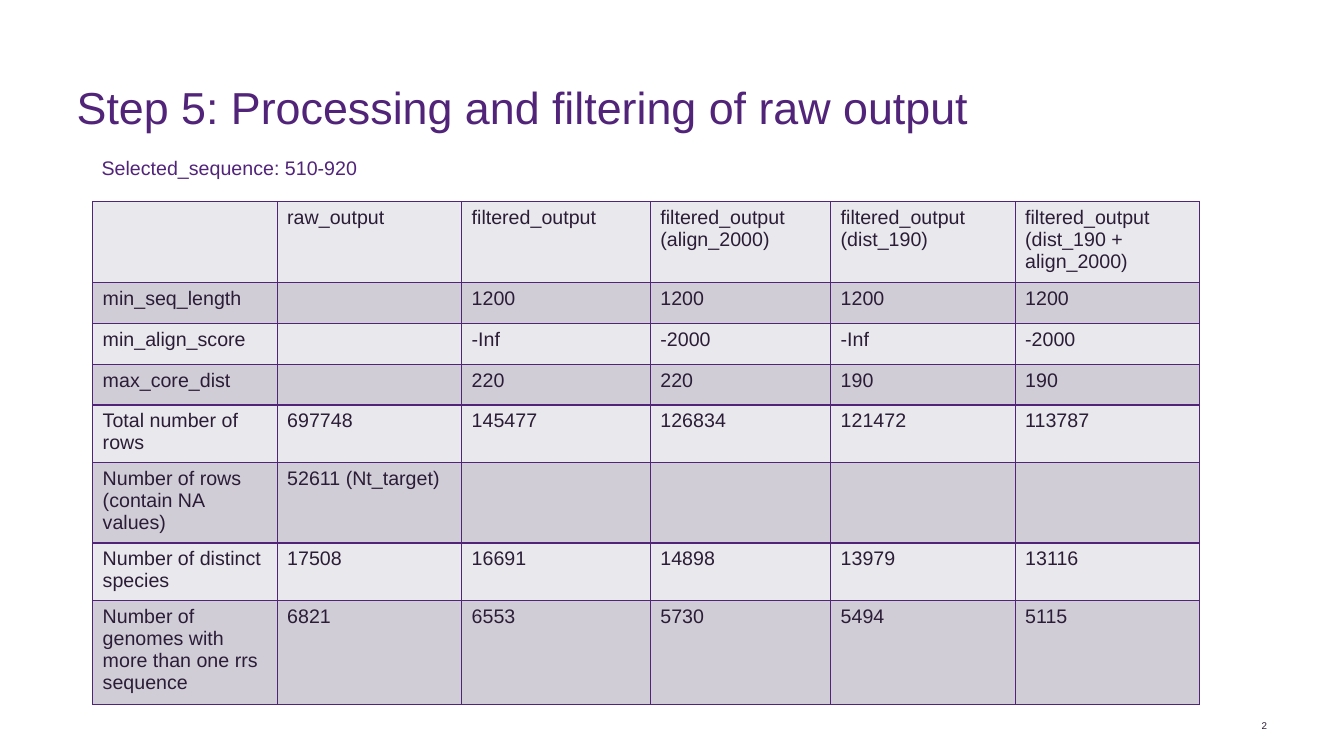
import pptx
import pptx.dml.color
import pptx.enum.text
import pptx.oxml
import pptx.oxml.ns
import pptx.util

Pt = pptx.util.Pt
ANCHOR = pptx.enum.text.MSO_ANCHOR
ALIGN = pptx.enum.text.PP_ALIGN

PURPLE, INK = "51247A", "2B1D37"
BANDS = ("E9E8EC", "D0CDD7")
COLUMN_WIDTHS = (131.8, 131.8, 134.8, 128.8, 131.8, 131.8)
ROW_HEIGHT = 29.25
FILTER_RESULTS = (
    ("", "raw_output", "filtered_output", "filtered_output (align_2000)",
     "filtered_output (dist_190)", "filtered_output (dist_190 + align_2000)"),
    ("min_seq_length", "", "1200", "1200", "1200", "1200"),
    ("min_align_score", "", "-Inf", "-2000", "-Inf", "-2000"),
    ("max_core_dist", "", "220", "220", "190", "190"),
    ("Total number of rows", "697748", "145477", "126834", "121472", "113787"),
    ("Number of rows (contain NA values)", "52611 (Nt_target)", "", "", "", ""),
    ("Number of distinct species", "17508", "16691", "14898", "13979", "13116"),
    ("Number of genomes with more than one rrs sequence",
     "6821", "6553", "5730", "5494", "5115"),
)


def color(hex_value):
    return pptx.dml.color.RGBColor.from_string(hex_value)


def set_all(target, values):
    for name, value in values.items():
        setattr(target, name, value)


class SlideBuilder:
    def __init__(self, slide, font_name):
        self.slide = slide
        self.font_name = font_name

    def styled_run(self, paragraph, text, size, hex_value):
        run = paragraph.add_run()
        run.text = text
        set_all(run.font, {"name": self.font_name, "size": Pt(size)})
        run.font.color.rgb = color(hex_value)

    def text(self, box, text, size, hex_value, frame_format, paragraph_format):
        frame = self.slide.shapes.add_textbox(*map(Pt, box)).text_frame
        set_all(frame, {"word_wrap": True, **frame_format})
        set_all(frame.paragraphs[0], paragraph_format)
        self.styled_run(frame.paragraphs[0], text, size, hex_value)

    def border(self, cell, hex_value, width):
        properties = cell._tc.get_or_add_tcPr()
        for position, side in enumerate(("lnL", "lnR", "lnT", "lnB")):
            line = pptx.oxml.parse_xml(
                f'<a:{side} {pptx.oxml.ns.nsdecls("a")} w="{Pt(width)}">'
                f'<a:solidFill><a:srgbClr val="{hex_value}"/></a:solidFill>'
                f'</a:{side}>')
            properties.insert(position, line)

    def table(self, left, top, rows, widths, row_height):
        table = self.slide.shapes.add_table(
            len(rows), len(widths), Pt(left), Pt(top),
            Pt(sum(widths)), Pt(row_height * len(rows))).table
        for column, width in zip(table.columns, widths):
            column.width = Pt(width)
        for r, row in enumerate(rows):
            table.rows[r].height = Pt(row_height)
            for c, value in enumerate(row):
                cell = table.cell(r, c)
                cell.fill.solid()
                cell.fill.fore_color.rgb = color(BANDS[r % 2])
                self.border(cell, PURPLE, 1)
                if value:
                    self.styled_run(cell.text_frame.paragraphs[0], value, 14, INK)


def main():
    presentation = pptx.Presentation()
    set_all(presentation, {"slide_width": Pt(960), "slide_height": Pt(540)})
    slide = presentation.slides.add_slide(presentation.slide_layouts[6])
    builder = SlideBuilder(slide, "Arial")
    flush_middle = {"margin_left": 0, "margin_right": 0, "margin_top": 0,
                    "margin_bottom": 0, "vertical_anchor": ANCHOR.MIDDLE}

    builder.text((54.8, 60.5, 754, 36.7),
                 "Step 5: Processing and filtering of raw output",
                 32, PURPLE, flush_middle, {"line_spacing": 0.9})
    builder.text((882.7, 514, 22.3, 8.6), "2", 7, INK, flush_middle,
                 {"alignment": ALIGN.RIGHT, "space_after": Pt(6)})
    builder.table(66.2, 144, FILTER_RESULTS, COLUMN_WIDTHS, ROW_HEIGHT)
    builder.text((65.5, 108, 207.4, 24.5), "Selected_sequence: 510-920",
                 14, PURPLE,
                 {"auto_size": pptx.enum.text.MSO_AUTO_SIZE.SHAPE_TO_FIT_TEXT}, {})
    presentation.save("out.pptx")


if __name__ == "__main__":
    main()
